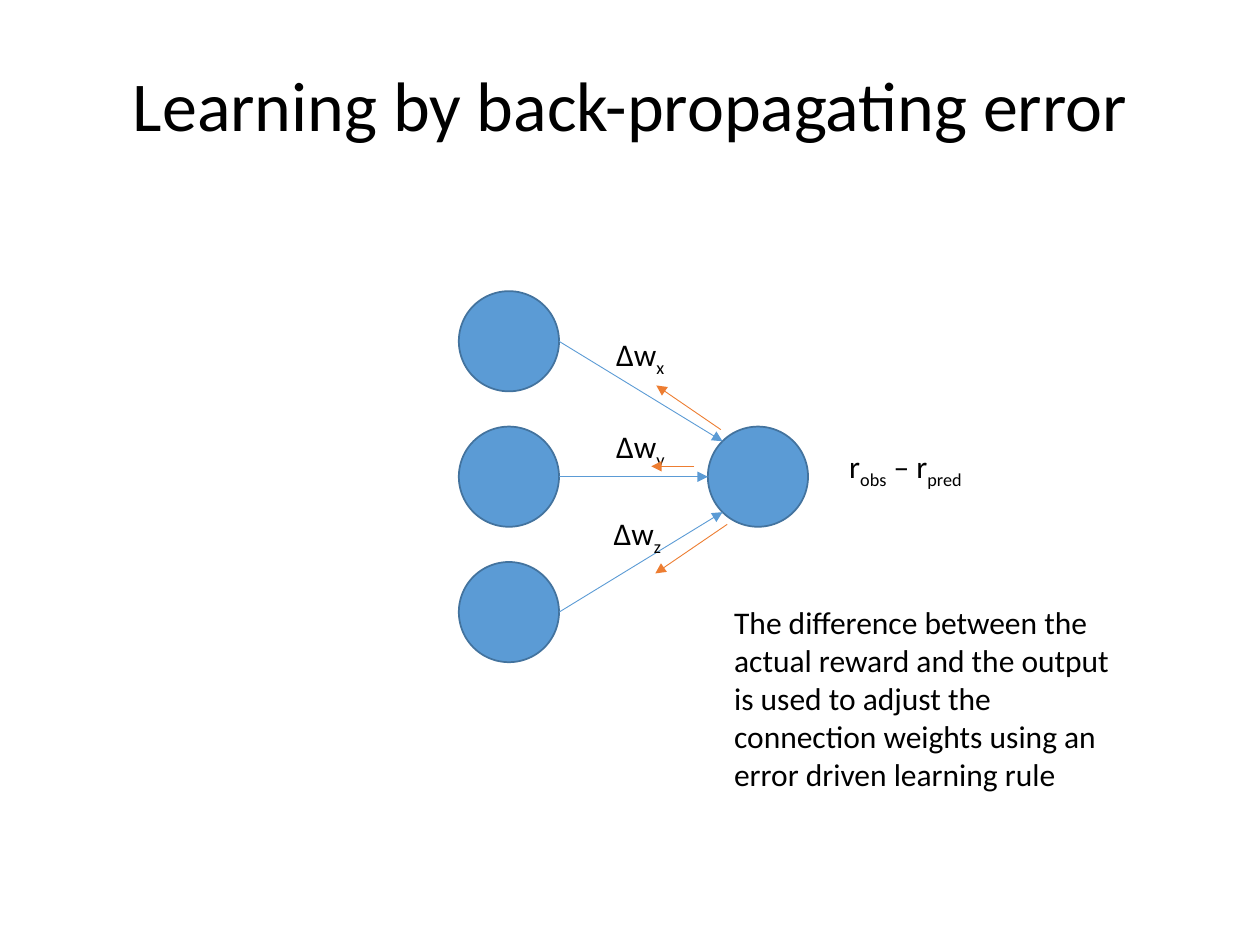
import math

from lxml import etree
from pptx import Presentation
from pptx.dml.color import RGBColor
from pptx.enum import shapes, text
from pptx.oxml.ns import qn
from pptx.util import Cm, Pt

# Content; lengths in cm
TITLE = "Learning by back-propagating error"
EXPLANATION = ("The difference between the actual reward and the output is used to "
               "adjust the connection weights using an error driven learning rule")
# Each label: left, top, width, then (text, subscript) pairs
LABELS = [
    (12.17, 6.63, 1.55, [("Δw", "x")]),
    (12.17, 8.48, 1.53, [("Δw", "y")]),
    (12.12, 10.24, 1.53, [("Δw", "z")]),
    (16.87, 8.89, 3.1, [("r", "obs"), (" – r", "pred")]),
]
ERROR_ARROWS = [
    ((14.53, 8.66), (13.23, 7.77)),
    ((14.66, 10.57), (13.21, 11.56)),
    ((14, 9.4), (13.13, 9.4)),
]
COLORS = {"text": "000000", "node": "5B9BD5", "outline": "43739E", "error": "ED7D31"}
FONT = "Calibri"

# Network geometry
DIAMETER = 2.02
RADIUS = DIAMETER / 2
INPUT_X, OUTPUT_X = 10.26, 15.28
FIRST_Y, ROW_PITCH = 6.88, 2.73
INPUT_YS = [FIRST_Y + row * ROW_PITCH for row in range(3)]
OUTPUT_Y = INPUT_YS[1]


def color(name):
    return RGBColor.from_string(COLORS[name])


def style(paragraph, size):
    paragraph.font.name = FONT
    paragraph.font.size = Pt(size)
    paragraph.font.color.rgb = color("text")


def add_node(x, y):
    node = slide.shapes.add_shape(shapes.MSO_SHAPE.OVAL, Cm(x - RADIUS), Cm(y - RADIUS),
                                  Cm(DIAMETER), Cm(DIAMETER))
    node.shadow.inherit = False
    node.fill.solid()
    node.fill.fore_color.rgb = color("node")
    node.line.color.rgb = color("outline")
    node.line.width = Pt(1)


def add_arrow(start, end, color_name):
    arrow = slide.shapes.add_connector(shapes.MSO_CONNECTOR.STRAIGHT,
                                       *(Cm(value) for value in (*start, *end)))
    arrow.line.color.rgb = color(color_name)
    arrow.line.width = Pt(0.5)
    etree.SubElement(arrow.line._get_or_add_ln(), qn("a:tailEnd"), type="triangle")
    etree.SubElement(arrow._element.spPr, qn("a:effectLst"))


def add_text(left, top, width, height, parts, wrap):
    frame = slide.shapes.add_textbox(Cm(left), Cm(top), Cm(width), Cm(height)).text_frame
    frame.word_wrap = wrap
    frame.auto_size = text.MSO_AUTO_SIZE.SHAPE_TO_FIT_TEXT
    paragraph = frame.paragraphs[0]
    style(paragraph, 18)
    for base, subscript in parts:
        paragraph.add_run().text = base
        if subscript:
            run = paragraph.add_run()
            run.text = subscript
            run.font._element.set("baseline", "-25000")


deck = Presentation()
deck.slide_width, deck.slide_height = Cm(25.4), Cm(19.05)
slide = deck.slides.add_slide(deck.slide_layouts[5])

# Title
title = slide.shapes.title
title.left, title.top, title.width, title.height = Cm(1.75), Cm(1.02), Cm(21.9), Cm(2.34)
title.text_frame.text = TITLE
title.text_frame.vertical_anchor = text.MSO_ANCHOR.MIDDLE
heading = title.text_frame.paragraphs[0]
heading.alignment = text.PP_ALIGN.CENTER
heading.line_spacing = 0.9
style(heading, 40)

# Nodes, with connections meeting the output node at 45° steps
add_node(OUTPUT_X, OUTPUT_Y)
for y, angle in zip(INPUT_YS, (-45, 0, 45)):
    add_node(INPUT_X, y)
    turn = math.radians(angle)
    add_arrow((INPUT_X + RADIUS, y),
              (OUTPUT_X - RADIUS * math.cos(turn), OUTPUT_Y + RADIUS * math.sin(turn)),
              "node")

# Labels and explanation
for left, top, width, parts in LABELS:
    add_text(left, top, width, 1.02, parts, wrap=False)
add_text(14.55, 12.04, 8.08, 4.11, [(EXPLANATION, "")], wrap=True)

# Error signals flowing back
for start, end in ERROR_ARROWS:
    add_arrow(start, end, "error")

deck.save("out.pptx")
